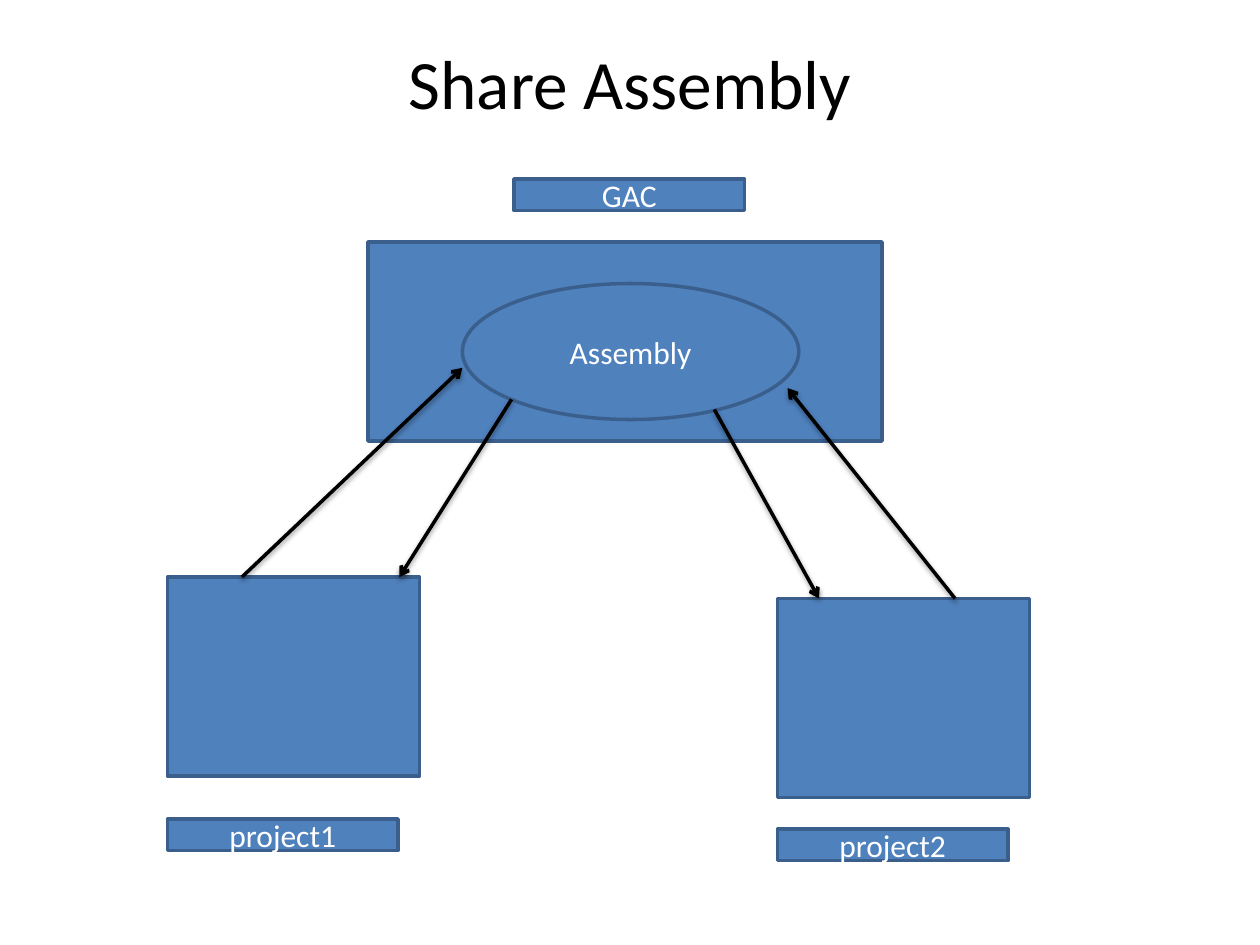
from lxml.etree import SubElement
from pptx import Presentation
from pptx.dml.color import RGBColor
from pptx.enum.shapes import MSO_CONNECTOR, MSO_SHAPE
from pptx.enum.text import MSO_ANCHOR, PP_ALIGN
from pptx.oxml.ns import qn
from pptx.util import Inches, Pt

BLUE, DARK_BLUE, BLACK, WHITE = "4F81BD", "3A5F8C", "000000", "FFFFFF"
PROJECT_SIZE = (2, 1.58)
LABEL_SIZE = (1.83, 0.25)

TITLE = "Share Assembly"
# kind, (left, top), (width, height), text
SHAPES = [
    (MSO_SHAPE.RECTANGLE, (2.92, 1.92), (4.08, 1.58), ""),
    (MSO_SHAPE.RECTANGLE, (1.33, 4.58), PROJECT_SIZE, ""),
    (MSO_SHAPE.RECTANGLE, (6.17, 4.75), PROJECT_SIZE, ""),
    (MSO_SHAPE.OVAL, (3.67, 2.25), (2.67, 1.08), "Assembly"),
    (MSO_SHAPE.RECTANGLE, (4.08, 1.42), LABEL_SIZE, "GAC"),
    (MSO_SHAPE.RECTANGLE, (1.33, 6.5), LABEL_SIZE, "project1"),
    (MSO_SHAPE.RECTANGLE, (6.17, 6.58), LABEL_SIZE, "project2"),
]
# start, end
ARROWS = [
    ((1.92, 4.58), (3.67, 2.92)),
    ((4.06, 3.17), (3.17, 4.58)),
    ((5.67, 3.25), (6.5, 4.75)),
    ((7.58, 4.75), (6.25, 3.08)),
]


def color(value):
    return RGBColor.from_string(value)


def write(shape, text, size=18, fill=WHITE, font="Calibri"):
    frame = shape.text_frame
    frame.word_wrap = True
    frame.vertical_anchor = MSO_ANCHOR.MIDDLE
    para = frame.paragraphs[0]
    para.alignment = PP_ALIGN.CENTER
    span = para.add_run()
    span.text = text
    span.font.size = Pt(size)
    span.font.name = font
    span.font.color.rgb = color(fill)


def set_line(shape, value):
    shape.line.color.rgb = color(value)
    shape.line.width = Pt(2)


def add_box(slide, kind, position, size, text):
    box = slide.shapes.add_shape(kind, *map(Inches, position + size))
    box.shadow.inherit = False
    box.fill.solid()
    box.fill.fore_color.rgb = color(BLUE)
    set_line(box, DARK_BLUE)
    if text:
        write(box, text)


def add_shadow(shape):
    """Cast a soft black shadow straight down."""
    effects = SubElement(shape._element.spPr, qn("a:effectLst"))
    shadow = SubElement(effects, qn("a:outerShdw"), blurRad=str(Pt(3.1)),
                        dist=str(Pt(1.6)), dir="5400000", rotWithShape="0")
    tint = SubElement(shadow, qn("a:srgbClr"), val=BLACK)
    SubElement(tint, qn("a:alpha"), val="38000")


def add_arrow(slide, start, end):
    arrow = slide.shapes.add_connector(
        MSO_CONNECTOR.STRAIGHT, *map(Inches, start + end))
    set_line(arrow, BLACK)
    SubElement(arrow.line._get_or_add_ln(), qn("a:tailEnd"), type="arrow")
    add_shadow(arrow)


def main():
    deck = Presentation()
    deck.slide_width, deck.slide_height = Inches(10), Inches(7.5)
    slide = deck.slides.add_slide(deck.slide_layouts[5])

    title = slide.shapes.title
    title.left, title.top = Inches(0.5), Inches(0.3)
    title.width, title.height = Inches(9), Inches(0.7)
    write(title, TITLE, size=39.6, fill=BLACK)

    for shape in SHAPES:
        add_box(slide, *shape)
    for start, end in ARROWS:
        add_arrow(slide, start, end)
    deck.save("out.pptx")


if __name__ == "__main__":
    main()
